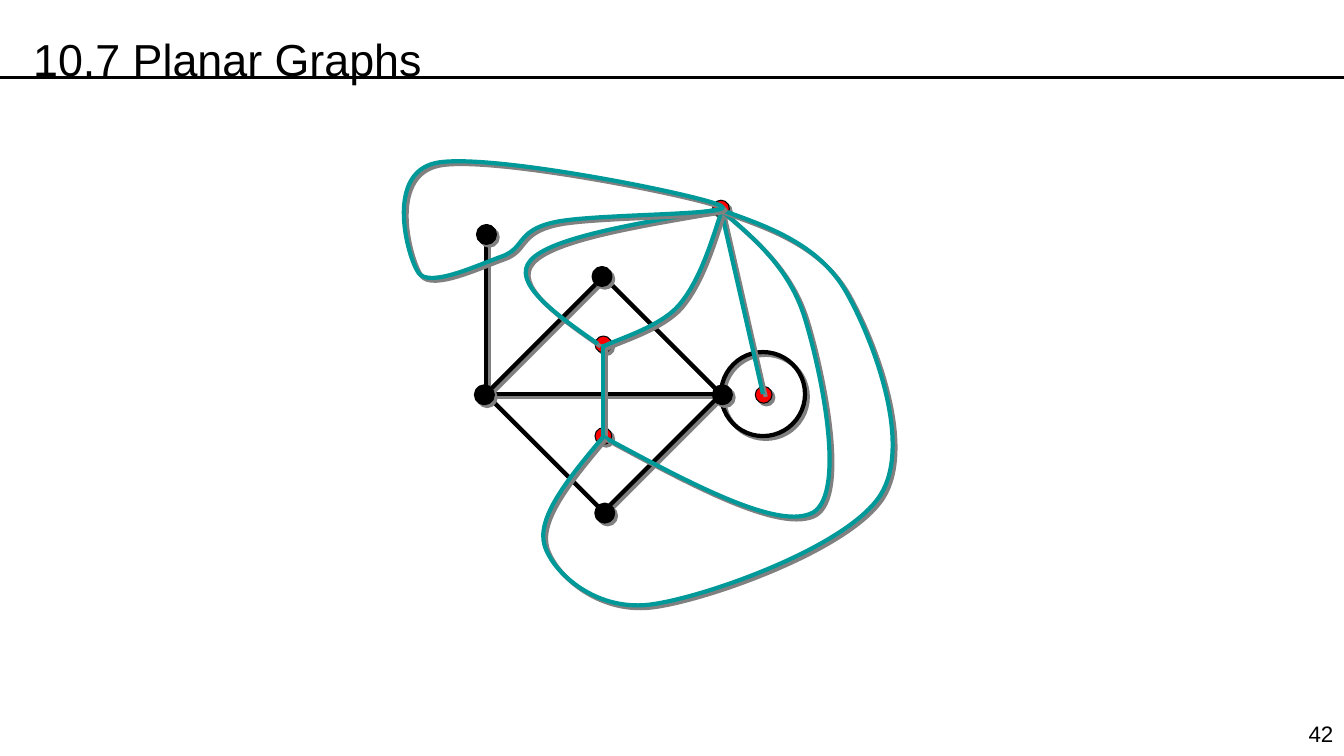
from lxml.etree import SubElement
from pptx import Presentation
from pptx.dml.color import RGBColor
from pptx.enum.shapes import MSO_CONNECTOR, MSO_SHAPE
from pptx.enum.text import MSO_ANCHOR, PP_ALIGN
from pptx.oxml.ns import qn
from pptx.util import Pt

BLACK = RGBColor(0x00, 0x00, 0x00)
RED = RGBColor(0xFF, 0x00, 0x00)
TEAL = RGBColor(0x00, 0x99, 0x99)
SHADOW = RGBColor(0x80, 0x80, 0x80)

TITLE = "10.7 Planar Graphs"
PAGE_NUMBER = "42"
NODE_SIZE = 12

# Left and top corners of the nodes, in points
GRAPH_NODES = [(426, 360.5), (424, 191.5), (340, 276), (510, 276), (341.5, 161.5)]
FIRST_DUAL_NODE = (425, 240)
DUAL_NODES = [(425, 305.5), (539.5, 276), (509, 143)]

DIAMOND = (347, 197.5, 168, 168)
LOOP = (515, 251.5, 60, 60)
GRAPH_EDGES = [((347, 281.5), (515, 281.5)), ((347, 281.5), (347, 167.5))]
DUAL_EDGES = [((431, 245.5), (431, 312)), ((515, 150), (545, 281.5))]

# Start point, then two control points and an end point per curve
DUAL_CURVES = [
    [(515, 152), (507, 177), (499, 201.5), (485, 218),
     (471, 234), (440, 242.5), (431, 247.5)],
    [(511, 150), (452, 160), (393, 170), (379, 186),
     (365, 201.5), (396, 224), (427, 245.5)],
    [(431, 312), (494, 346), (557, 379.5), (581, 366),
     (605, 351), (586, 263.5), (575, 227.5),
     (564, 191.5), (539, 170.5), (515, 150)],
    [(431, 312), (407, 340.5), (383, 369.5), (389, 389.5),
     (395, 409.5), (427, 438), (467, 431.5),
     (507, 425.5), (606, 390), (629, 353.5),
     (652, 317), (624, 243.5), (605, 209.5),
     (586, 175.5), (551, 162.5), (515, 150)],
    [(515, 147), (501, 139.5), (347, 108.5), (311, 116.5),
     (275, 124.5), (291, 183.5), (299, 195),
     (307, 206), (343, 188.5), (359, 183),
     (375, 177), (369, 165), (395, 159),
     (421, 152.5), (529, 154), (515, 147)],
]


def set_line(shape, color, width, shadow=True):
    shape.line.color.rgb = color
    shape.line.width = Pt(width)
    effects = SubElement(shape._element.spPr, qn("a:effectLst"))
    if shadow:
        outer = SubElement(effects, qn("a:outerShdw"), dist=str(Pt(2.8)),
                           dir="2700000", algn="ctr", rotWithShape="0")
        SubElement(outer, qn("a:srgbClr"), val=str(SHADOW))


def add_outline(shapes, kind, box, fill=None, width=3):
    shape = shapes.add_shape(kind, *map(Pt, box))
    if fill is None:
        shape.fill.background()
    else:
        shape.fill.solid()
        shape.fill.fore_color.rgb = fill
    set_line(shape, BLACK, width)


def add_node(shapes, corner, fill, width):
    add_outline(shapes, MSO_SHAPE.OVAL, (*corner, NODE_SIZE, NODE_SIZE), fill, width)


def add_edge(shapes, start, end, color, width=3, shadow=True):
    connector = shapes.add_connector(
        MSO_CONNECTOR.STRAIGHT, *map(Pt, (*start, *end)))
    set_line(connector, color, width, shadow)


def add_curve(shapes, points):
    """Draw a freeform through all points, then turn each three segments into one Bezier curve."""
    start, *others = [(Pt(x), Pt(y)) for x, y in points]
    builder = shapes.build_freeform(*start)
    builder.add_line_segments(others, close=points[0] == points[-1])
    shape = builder.convert_to_shape()
    segments = list(shape._element.iter(qn("a:lnTo")))
    for first in range(0, len(others), 3):
        curve = segments[first]
        bezier = curve.makeelement(qn("a:cubicBezTo"))
        curve.addprevious(bezier)
        for segment in segments[first:first + 3]:
            bezier.append(segment[0])
            segment.getparent().remove(segment)
    shape.fill.background()
    set_line(shape, TEAL, 3)


def place_text(shape, box, text, size, **paragraph_format):
    shape.left, shape.top, shape.width, shape.height = map(Pt, box)
    frame = shape.text_frame
    frame.text = text
    frame.word_wrap = True
    frame.vertical_anchor = MSO_ANCHOR.TOP
    paragraph = frame.paragraphs[0]
    for name, value in paragraph_format.items():
        setattr(paragraph, name, value)
    for name, value in {"name": "Arial", "size": Pt(size)}.items():
        setattr(paragraph.font, name, value)
    paragraph.font.color.rgb = BLACK


def main():
    presentation = Presentation()
    presentation.slide_width, presentation.slide_height = Pt(960), Pt(540)
    slide = presentation.slides.add_slide(presentation.slide_layouts[5])
    shapes = slide.shapes

    add_edge(shapes, (0, 55.5), (960, 55.5), BLACK, 2.25, shadow=False)
    place_text(shapes.add_textbox(0, 0, 0, 0), (914.5, 511, 45, 27),
               PAGE_NUMBER, 16, alignment=PP_ALIGN.RIGHT)

    add_node(shapes, FIRST_DUAL_NODE, RED, 0.75)
    add_outline(shapes, MSO_SHAPE.DIAMOND, DIAMOND)
    add_outline(shapes, MSO_SHAPE.OVAL, LOOP)
    for start, end in GRAPH_EDGES:
        add_edge(shapes, start, end, BLACK)
    for corner in GRAPH_NODES:
        add_node(shapes, corner, BLACK, 3)
    for corner in DUAL_NODES:
        add_node(shapes, corner, RED, 0.75)
    for start, end in DUAL_EDGES:
        add_edge(shapes, start, end, TEAL)
    for points in DUAL_CURVES:
        add_curve(shapes, points)

    place_text(shapes.title, (16.5, 0, 870.5, 58.5), TITLE, 32,
               alignment=PP_ALIGN.LEFT, line_spacing=1.5)
    presentation.save("out.pptx")


if __name__ == "__main__":
    main()
